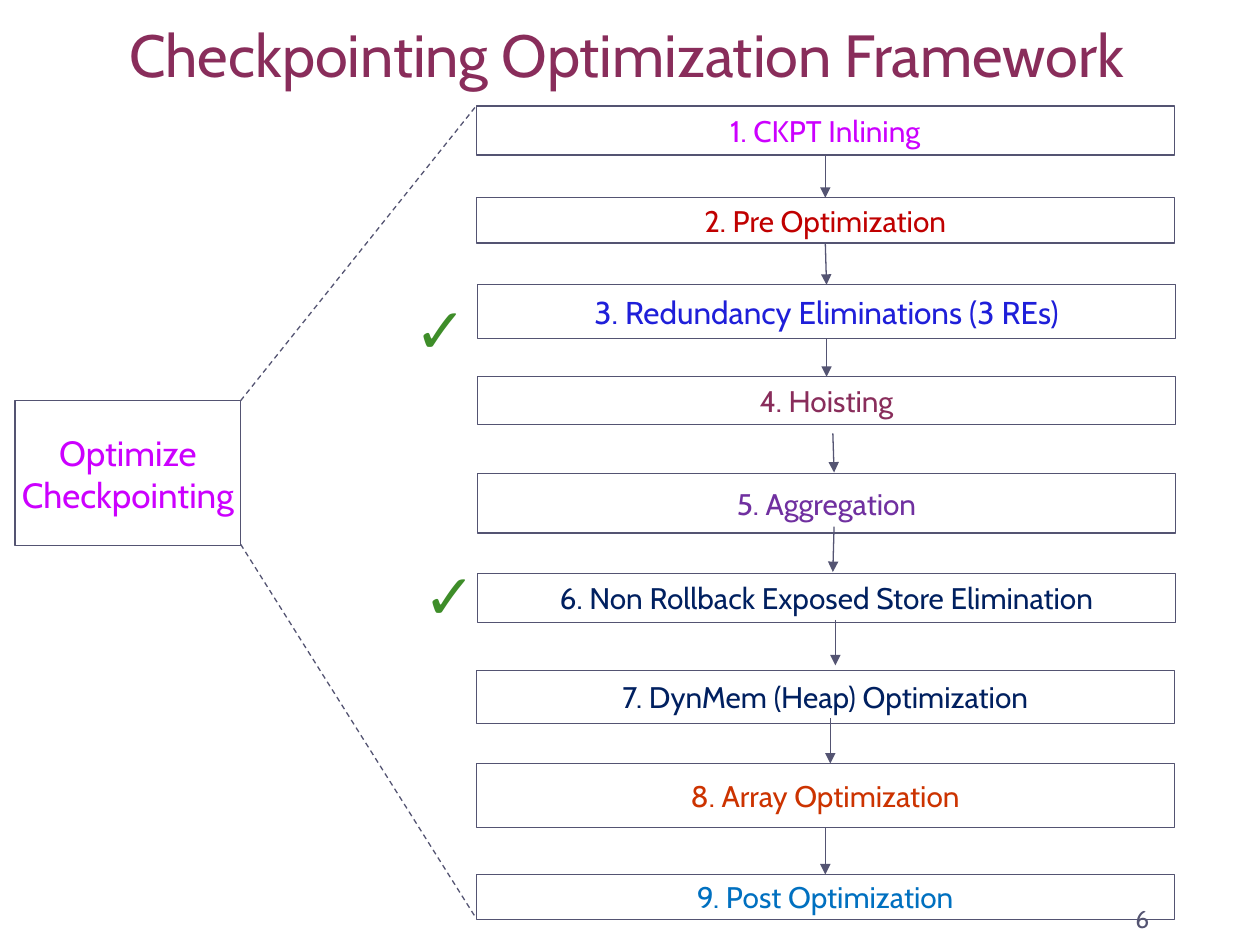
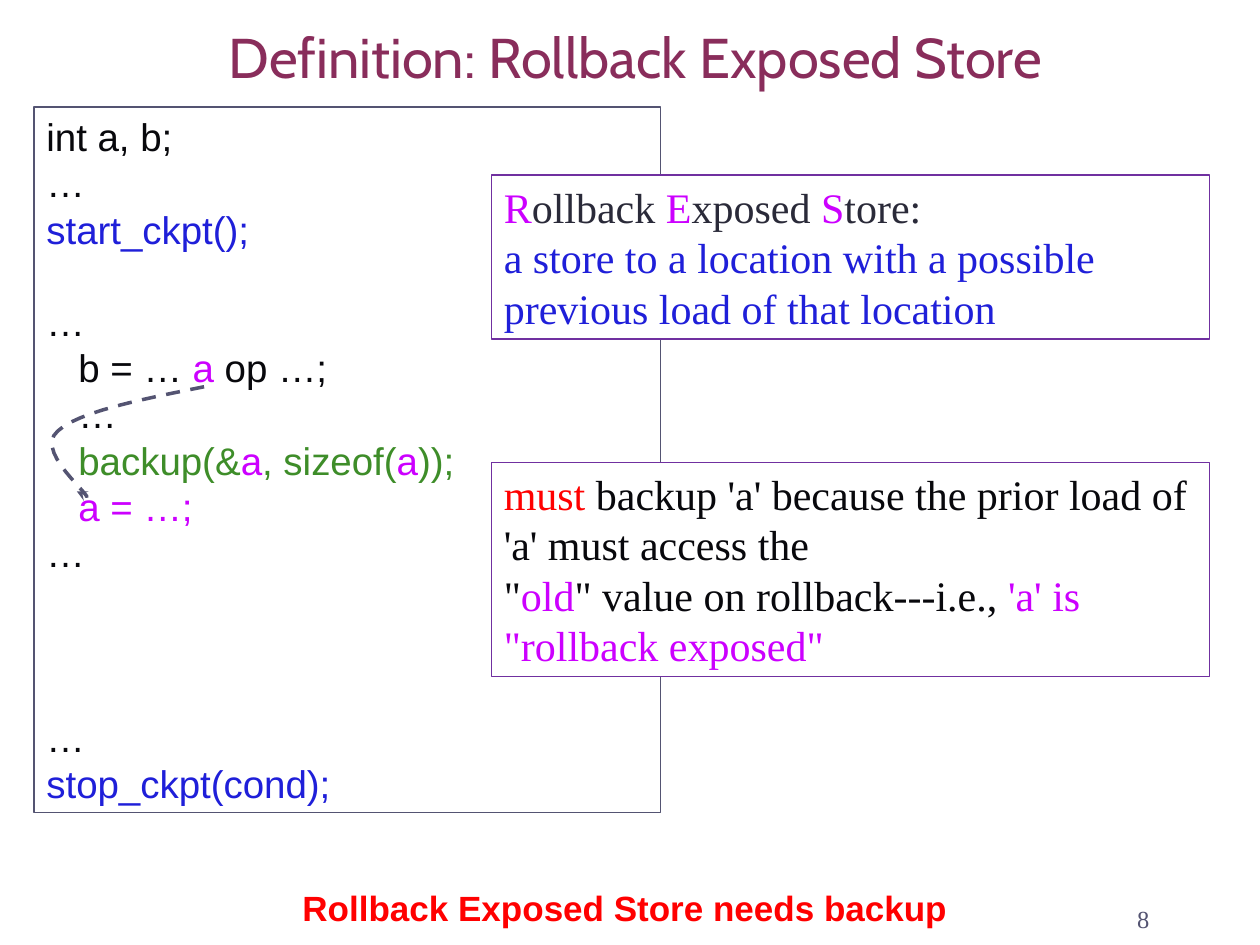
from lxml import etree
from pptx import Presentation
from pptx import util as u
from pptx.dml.color import RGBColor
from pptx.enum import dml, shapes, text
from pptx.oxml import ns


class Theme:
    plum, magenta, red, blue = "892D5B", "CC00FF", "FF0000", "1F1FD9"
    crimson, purple, navy, rust, sky = "C00000", "7030A0", "002060", "CC3300", "0070C0"
    green, ink, charcoal, slate, white = "3E8D29", "08080C", "2A2A39", "545472", "FFFFFF"
    heading, sans, serif = "Cabin", "Arial", "Times New Roman"
    framework_title, definition_title = 34, 32
    number, step, wide_step, root, code, callout, tick = 14, 17, 18, 20, 22, 24, 36
    code_line = 26.4
    hairline, trace = 0.75, 2


PX = 9144
LEFT, CENTER, RIGHT = text.PP_ALIGN.LEFT, text.PP_ALIGN.CENTER, text.PP_ALIGN.RIGHT
TOP, MIDDLE, BOTTOM = text.MSO_ANCHOR.TOP, text.MSO_ANCHOR.MIDDLE, text.MSO_ANCHOR.BOTTOM
RECT = shapes.MSO_SHAPE.RECTANGLE
STRAIGHT = shapes.MSO_CONNECTOR.STRAIGHT


def write(frame, lines, size, font, align=LEFT, anchor=TOP, wrap=True, bold=False):
    frame.word_wrap = wrap
    frame.auto_size = text.MSO_AUTO_SIZE.NONE
    frame.vertical_anchor = anchor
    for index, line in enumerate(lines):
        paragraph = frame.paragraphs[0] if index == 0 else frame.add_paragraph()
        paragraph.alignment = align
        for words, color in line:
            run = paragraph.add_run()
            run.text = words
            run.font.size = u.Pt(size)
            run.font.name = font
            run.font.bold = bold
            run.font.color.rgb = RGBColor.from_string(color)


def stroke(outline, color=Theme.slate, width=Theme.hairline, dashed=False, head=None):
    outline.line.color.rgb = RGBColor.from_string(color)
    outline.line.width = u.Pt(width)
    if dashed:
        outline.line.dash_style = dml.MSO_LINE.DASH
    properties = outline._element.spPr
    if head:
        etree.SubElement(properties.find(ns.qn("a:ln")), ns.qn("a:tailEnd"), type=head)
    etree.SubElement(properties, ns.qn("a:effectLst"))


deck = Presentation()
deck.slide_width, deck.slide_height = 1000 * PX, 750 * PX

pages = []
for heading, size, width in [
    ("Checkpointing Optimization Framework", Theme.framework_title, 969),
    ("Definition: Rollback Exposed Store", Theme.definition_title, 983),
]:
    page = deck.slides.add_slide(deck.slide_layouts[5])
    title = page.shapes.title
    title.left, title.top, title.width, title.height = 13 * PX, 13 * PX, width * PX, 63 * PX
    title.text_frame.margin_top, title.text_frame.margin_bottom = 0, 5 * PX
    write(title.text_frame, [[(heading, Theme.plum)]], size, Theme.heading, CENTER, BOTTOM)
    pages.append(page)
framework, definition = pages

boxes = []
for left, top, width, height, lines, size, color in [
    (12, 318, 179, 115, ["Optimize", "Checkpointing"], Theme.root, Theme.magenta),
    (378, 84, 554, 39, ["1. CKPT Inlining"], Theme.step, Theme.magenta),
    (378, 157, 554, 36, ["2. Pre Optimization"], Theme.step, Theme.crimson),
    (379, 226, 554, 43, ["3. Redundancy Eliminations (3 REs)"], Theme.wide_step, Theme.blue),
    (379, 299, 554, 38, ["4. Hoisting"], Theme.step, Theme.plum),
    (379, 376, 554, 47, ["5. Aggregation"], Theme.step, Theme.purple),
    (379, 455, 554, 39, ["6. Non Rollback Exposed Store Elimination"], Theme.step, Theme.navy),
    (378, 532, 554, 42, ["7. DynMem (Heap) Optimization"], Theme.step, Theme.navy),
    (378, 606, 554, 51, ["8. Array Optimization"], Theme.step, Theme.rust),
    (378, 694, 554, 36, ["9. Post Optimization"], Theme.step, Theme.sky),
]:
    box = framework.shapes.add_shape(RECT, left * PX, top * PX, width * PX, height * PX)
    box.fill.solid()
    box.fill.fore_color.rgb = RGBColor.from_string(Theme.white)
    stroke(box)
    write(box.text_frame, [[(line, color)] for line in lines], size, Theme.heading, CENTER, MIDDLE, wrap=False)
    boxes.append(box)
steps = boxes[1:]

for first in (0, 1, 2, 7):
    arrow = framework.shapes.add_connector(STRAIGHT, 0, 0, 0, 0)
    arrow.begin_connect(steps[first], 2)
    arrow.end_connect(steps[first + 1], 0)
    stroke(arrow, head="triangle")

for x1, y1, x2, y2, dashed, head in [
    (661, 344, 662, 375, False, "triangle"),
    (662, 418, 661, 454, False, "triangle"),
    (663, 492, 663, 528, False, "triangle"),
    (659, 570, 659, 606, False, "triangle"),
    (191, 318, 378, 84, True, None),
    (191, 432, 378, 729, True, None),
]:
    link = framework.shapes.add_connector(STRAIGHT, x1 * PX, y1 * PX, x2 * PX, y2 * PX)
    stroke(link, dashed=dashed, head=head)

for left, top in [(319, 226), (326, 437)]:
    tick = framework.shapes.add_textbox(left * PX, top * PX, 61 * PX, 70 * PX)
    write(tick.text_frame, [[("✓", Theme.green)]], Theme.tick, Theme.sans, wrap=False)

code_lines = [
    [("int a, b;", Theme.ink)],
    [("…", Theme.ink)],
    [("start_ckpt();", Theme.blue)],
    [("…", Theme.ink)],
    [("   b = … ", Theme.ink), ("a", Theme.magenta), (" op …;", Theme.ink)],
    [("   …", Theme.ink)],
    [("   backup(&", Theme.green), ("a", Theme.magenta), (", sizeof(", Theme.green),
     ("a", Theme.magenta), ("));", Theme.green)],
    [("   a = …;", Theme.magenta)],
    [("…", Theme.ink)],
    [("…", Theme.ink)],
    [("stop_ckpt(cond);", Theme.blue)],
]
meaning = [
    [("R", Theme.magenta), ("ollback ", Theme.charcoal), ("E", Theme.magenta),
     ("xposed ", Theme.charcoal), ("S", Theme.magenta), ("tore:", Theme.charcoal)],
    [("a store to a location with a possible previous load of that location", Theme.blue)],
]
reason = [
    [("must", Theme.red), (" backup 'a' because the prior load of 'a' must access the", Theme.ink)],
    [('"', Theme.ink), ("old", Theme.magenta), ('" value on rollback---i.e., ', Theme.ink),
     ("'a' is \"rollback exposed\"", Theme.magenta)],
]
panels = []
for left, top, width, height, lines, size, font, border, filled in [
    (27, 85, 497, 560, code_lines, Theme.code, Theme.sans, Theme.slate, False),
    (390, 367, 570, 170, reason, Theme.callout, Theme.serif, Theme.purple, True),
    (390, 139, 570, 130, meaning, Theme.callout, Theme.serif, Theme.purple, True),
]:
    panel = definition.shapes.add_shape(RECT, left * PX, top * PX, width * PX, height * PX)
    if filled:
        panel.fill.solid()
        panel.fill.fore_color.rgb = RGBColor.from_string(Theme.white)
    else:
        panel.fill.background()
    stroke(panel, border)
    write(panel.text_frame, lines, size, font)
    panels.append(panel)

code_paragraphs = panels[0].text_frame.paragraphs
for line, skipped in [(3, 1), (9, 3)]:
    code_paragraphs[line].space_before = u.Pt(Theme.code_line * skipped)

load, store = (162, 307), (61, 390)
points = [load]
for control1, control2, end in [
    ((112, 317), (62, 327), (46, 342)),
    ((29, 356), (62, 384), (69, 394)),
]:
    previous = points[-1]
    for t in [step / 12 for step in range(1, 13)]:
        weights = ((1 - t) ** 3, 3 * t * (1 - t) ** 2, 3 * t * t * (1 - t), t ** 3)
        points.append(tuple(
            sum(weight * value for weight, value in zip(weights, values))
            for values in zip(previous, control1, control2, end)
        ))
points.append(store)
builder = definition.shapes.build_freeform(load[0] * PX, load[1] * PX)
builder.add_line_segments([(round(x * PX), round(y * PX)) for x, y in points[1:]], close=False)
load_to_store = builder.convert_to_shape()
load_to_store.fill.background()
stroke(load_to_store, width=Theme.trace, dashed=True, head="stealth")

conclusion = definition.shapes.add_textbox(2 * PX, 698 * PX, 988 * PX, 44 * PX)
write(conclusion.text_frame, [[("Rollback Exposed Store needs backup", Theme.red)]],
      Theme.root, Theme.sans, CENTER, MIDDLE, bold=True)

for page, number, font in [(framework, "6", Theme.heading), (definition, "8", Theme.serif)]:
    page_number = page.shapes.add_textbox(714 * PX, 696 * PX, 208 * PX, 50 * PX)
    write(page_number.text_frame, [[(number, Theme.slate)]], Theme.number, font, RIGHT, BOTTOM)

deck.save("out.pptx")
